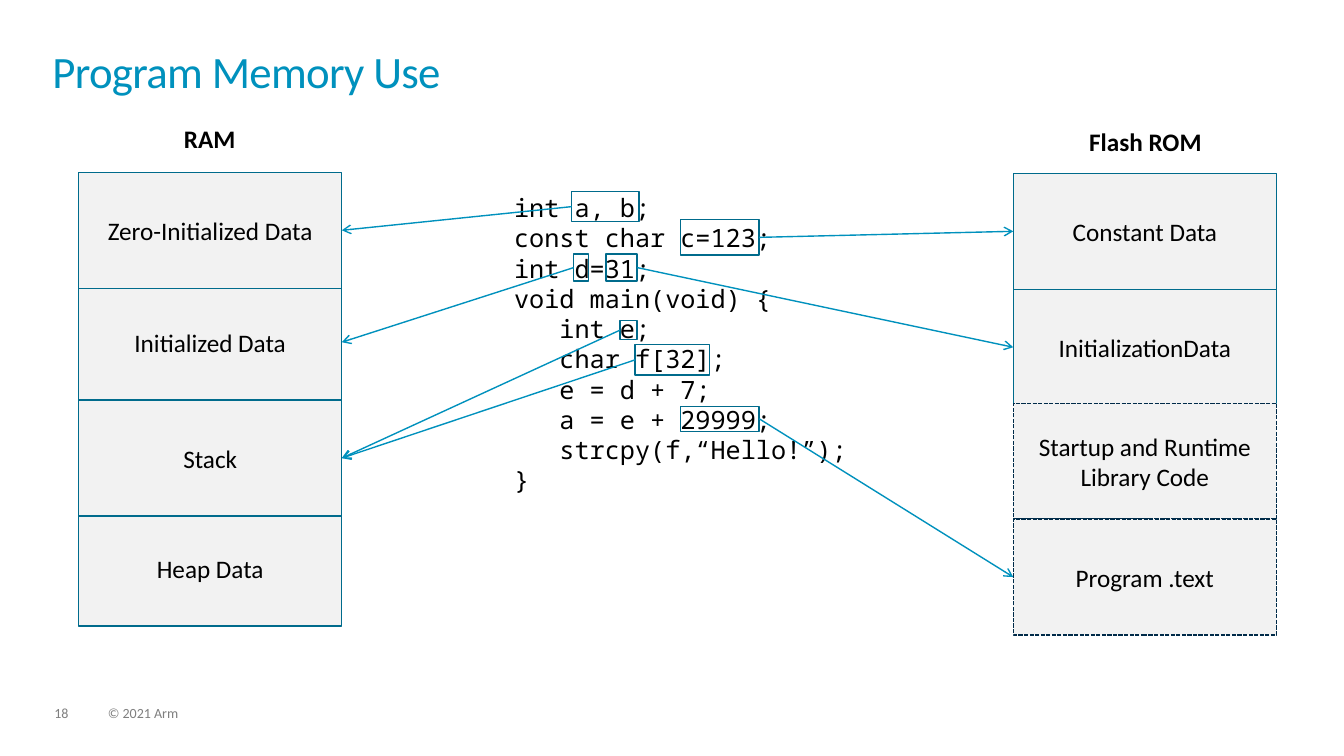
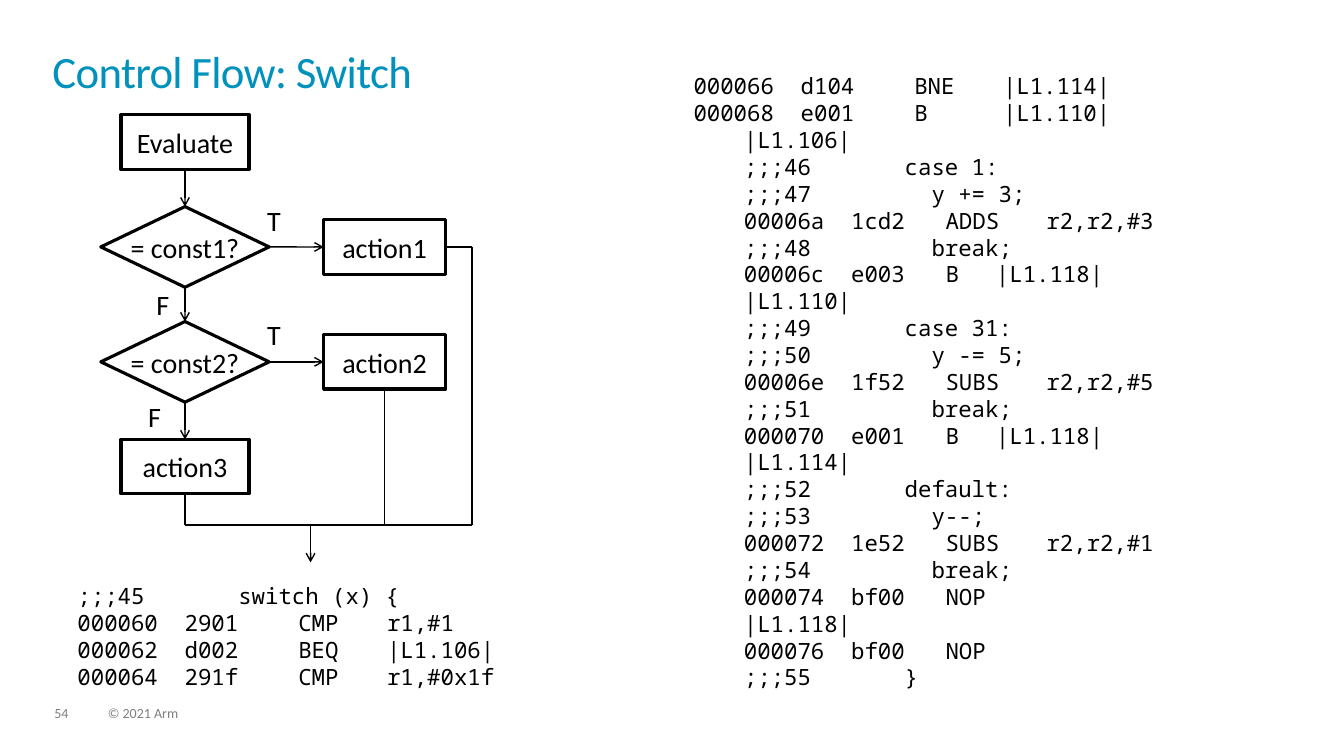
from lxml.etree import SubElement
from pptx import Presentation
from pptx.dml.color import RGBColor
from pptx.enum.dml import MSO_LINE
from pptx.enum.shapes import MSO_CONNECTOR, MSO_SHAPE
from pptx.enum.text import MSO_ANCHOR, MSO_AUTO_SIZE, PP_ALIGN
from pptx.oxml.ns import qn
from pptx.util import Inches, Pt

SANS, MONO = "Calibri", "Noto Sans Mono"
BLACK, GREY, PALE = "000000", "7F7F7F", "F2F2F2"
BLUE, TEAL, NAVY = "0091BD", "006B8C", "002B49"
TOP, LEFT, BOTTOM, RIGHT = range(4)
COPYRIGHT = "© 2021 Arm"

MEMORY_CODE = [
    "int a, b;",
    "const char c=123;",
    "int d=31;",
    "void main(void) {",
    "   int e;",
    "   char f[32];",
    "   e = d + 7;",
    "   a = e + 29999;",
    "   strcpy(f,“Hello!”);",
    "}",
]
HEADINGS = [("RAM", 0.97, 1.17, 2.22), ("Flash ROM", 10.05, 1.2, 2.62)]
SEGMENT_WIDTH, SEGMENT_HEIGHT = 2.61, 1.15
RAM_LEFT, FLASH_LEFT = 0.78, 10.05
SEGMENTS = [
    ("Heap Data", RAM_LEFT, 5.06, False),
    ("Stack", RAM_LEFT, 3.97, False),
    ("Initialized Data", RAM_LEFT, 2.82, False),
    ("Zero-Initialized Data", RAM_LEFT, 1.71, False),
    ("Constant Data", FLASH_LEFT, 1.72, False),
    ("InitializationData", FLASH_LEFT, 2.87, False),
    ("Startup and Runtime Library Code", FLASH_LEFT, 4, True),
    ("Program .text", FLASH_LEFT, 5.15, True),
]
HIGHLIGHTS = [
    ((5.67, 1.9, 0.67, 0.3), "Zero-Initialized Data"),
    ((6.75, 2.18, 0.78, 0.35), "Constant Data"),
    ((5.69, 2.52, 0.15, 0.27), "Initialized Data"),
    ((6.01, 2.52, 0.31, 0.27), "InitializationData"),
    ((6.15, 3.18, 0.17, 0.19), "Stack"),
    ((6.3, 3.42, 0.74, 0.3), "Stack"),
    ((6.75, 4.03, 0.78, 0.25), "Program .text"),
]

SWITCH_START = [
    ";;;45       switch (x) {",
    "000060  2901\tCMP\tr1,#1",
    "000062  d002\tBEQ\t|L1.106|",
    "000064  291f\tCMP\tr1,#0x1f",
]
SWITCH_BRANCHES = [
    "000066  d104\tBNE\t|L1.114|",
    "000068  e001\tB\t|L1.110|",
]
SWITCH_CASES = [
    "|L1.106|",
    ";;;46       case 1:",
    ";;;47         y += 3;",
    "00006a  1cd2\tADDS\tr2,r2,#3",
    ";;;48         break;",
    "00006c  e003\tB\t|L1.118|",
    "|L1.110|",
    ";;;49       case 31:",
    ";;;50         y -= 5;",
    "00006e  1f52\tSUBS\tr2,r2,#5",
    ";;;51         break;",
    "000070  e001\tB\t|L1.118|",
    "|L1.114|",
    ";;;52       default:",
    ";;;53         y--;",
    "000072  1e52\tSUBS\tr2,r2,#1",
    ";;;54         break;",
    "000074  bf00\tNOP",
    "|L1.118|",
    "000076  bf00\tNOP",
    ";;;55       }",
]
CODE_TABS = (2.19, 3.07)
FLOW_NODES = [
    ("Evaluate", MSO_SHAPE.RECTANGLE, (1.2, 1.14, 1.27, 0.54)),
    ("= const1?", MSO_SHAPE.DIAMOND, (1, 2.05, 1.67, 0.8)),
    ("= const2?", MSO_SHAPE.DIAMOND, (1, 3.19, 1.67, 0.8)),
    ("action1", MSO_SHAPE.RECTANGLE, (3.21, 2.18, 1.21, 0.54)),
    ("action2", MSO_SHAPE.RECTANGLE, (3.21, 3.32, 1.21, 0.54)),
    ("action3", MSO_SHAPE.RECTANGLE, (1.2, 4.36, 1.27, 0.54)),
]
FLOW_ARROWS = [
    ("Evaluate", BOTTOM, "= const1?", TOP),
    ("= const1?", RIGHT, "action1", LEFT),
    ("= const1?", BOTTOM, "= const2?", TOP),
    ("= const2?", RIGHT, "action2", LEFT),
    ("= const2?", BOTTOM, "action3", TOP),
]
FLOW_LABELS = [("T", 2.65, 2.02), ("F", 1.55, 2.85), ("T", 2.65, 3.15), ("F", 1.47, 3.96)]
MERGE_Y, MERGE_RIGHT, EXIT_X, EXIT_Y = 5.21, 4.68, 3.08, 5.58


def rgb(value):
    return RGBColor.from_string(value)


def set_text(shape, lines, size, color=BLACK, font=SANS, bold=None, align=None,
             anchor=MSO_ANCHOR.TOP, inset=True, wrap=True, spacing=None,
             tabs=(), indented_from=None):
    frame = shape.text_frame
    frame.auto_size = MSO_AUTO_SIZE.NONE
    frame.word_wrap = wrap
    frame.vertical_anchor = anchor
    if not inset:
        frame.margin_left = frame.margin_right = frame.margin_top = frame.margin_bottom = 0
    for index, line in enumerate(lines):
        paragraph = frame.add_paragraph() if index else frame.paragraphs[0]
        paragraph.text = line
        paragraph.alignment = align
        paragraph.line_spacing = spacing
        properties = paragraph._p.get_or_add_pPr()
        if indented_from is not None and index >= indented_from:
            paragraph.level = 1
            properties.set("marL", str(Inches(0.5)))
            properties.set("indent", "0")
        if tabs:
            tab_list = SubElement(properties, qn("a:tabLst"))
            for position in tabs:
                SubElement(tab_list, qn("a:tab"), pos=str(Inches(position)), algn="l")
        paragraph.font.name = font
        paragraph.font.size = Pt(size)
        paragraph.font.bold = bold
        paragraph.font.color.rgb = rgb(color)


def add_text(slide, box, lines, size, **style):
    shape = slide.shapes.add_textbox(*map(Inches, box))
    set_text(shape, lines, size, **style)


def add_box(slide, kind, box, line, width, fill=None):
    shape = slide.shapes.add_shape(kind, *map(Inches, box))
    shape.shadow.inherit = False
    if fill:
        shape.fill.solid()
        shape.fill.fore_color.rgb = rgb(fill)
    else:
        shape.fill.background()
    shape.line.color.rgb = rgb(line)
    shape.line.width = Pt(width)
    return shape


def site(shape, side):
    x = {LEFT: 0, RIGHT: shape.width}.get(side, shape.width // 2)
    y = {TOP: 0, BOTTOM: shape.height}.get(side, shape.height // 2)
    return shape.left + x, shape.top + y


def add_line(slide, start, end, color, arrow=True):
    points = [site(*place) if hasattr(place[0], "shape_id") else place for place in (start, end)]
    connector = slide.shapes.add_connector(MSO_CONNECTOR.STRAIGHT, *points[0], *points[1])
    if hasattr(start[0], "shape_id"):
        connector.begin_connect(*start)
    if hasattr(end[0], "shape_id"):
        connector.end_connect(*end)
    connector.line.color.rgb = rgb(color)
    connector.line.width = Pt(1)
    if arrow:
        SubElement(connector.line._get_or_add_ln(), qn("a:tailEnd"), type="arrow")
    SubElement(connector._element.spPr, qn("a:effectLst"))


def new_slide(presentation, title, number):
    slide = presentation.slides.add_slide(presentation.slide_layouts[5])
    shape = slide.shapes.title
    shape.left, shape.top, shape.width, shape.height = map(Inches, (0.52, 0.52, 12.28, 0.72))
    set_text(shape, [title], 32, color=BLUE, align=PP_ALIGN.LEFT, inset=False, spacing=0.85)
    shape.text_frame.paragraphs[0].runs[0]._r.get_or_add_rPr().set("spc", "-50")
    for text, left, width in ((number, 0.54, 0.34), (COPYRIGHT, 1.07, 5.07)):
        add_text(slide, (left, 7.01, width, 0.15), [text], 10, color=GREY, inset=False, spacing=0.9)
    return slide


def build_memory(presentation):
    slide = new_slide(presentation, "Program Memory Use", "18")
    add_text(slide, (5, 1.86, 3.56, 3.13), MEMORY_CODE, 18, font=MONO)
    for heading, left, top, width in HEADINGS:
        add_text(slide, (left, top, width, 0.4), [heading], 18, bold=True, align=PP_ALIGN.CENTER)
    segments = {}
    for name, left, top, dashed in SEGMENTS:
        segment = add_box(slide, MSO_SHAPE.RECTANGLE, (left, top, SEGMENT_WIDTH, SEGMENT_HEIGHT),
                          NAVY if dashed else TEAL, 1, PALE)
        if dashed:
            segment.line.dash_style = MSO_LINE.SQUARE_DOT
        set_text(segment, [name], 18, align=PP_ALIGN.CENTER, anchor=MSO_ANCHOR.MIDDLE)
        segments[name] = segment
    for box, name in HIGHLIGHTS:
        highlight = add_box(slide, MSO_SHAPE.RECTANGLE, box, TEAL, 1)
        segment = segments[name]
        sides = (LEFT, RIGHT) if segment.left < highlight.left else (RIGHT, LEFT)
        add_line(slide, (highlight, sides[0]), (segment, sides[1]), BLUE)


def build_switch(presentation):
    slide = new_slide(presentation, "Control Flow: Switch", "54")
    add_text(slide, (0.67, 5.73, 6.11, 1.2), SWITCH_START, 16, font=MONO, tabs=CODE_TABS)
    add_text(slide, (6.78, 0.67, 6.31, 6.4), SWITCH_BRANCHES + SWITCH_CASES, 16, font=MONO,
             tabs=CODE_TABS, indented_from=len(SWITCH_BRANCHES))
    nodes = {}
    for name, kind, box in FLOW_NODES:
        nodes[name] = add_box(slide, kind, box, BLACK, 2.25)
        set_text(nodes[name], [name], 20, align=PP_ALIGN.CENTER, anchor=MSO_ANCHOR.MIDDLE,
                 inset=False, wrap=kind != MSO_SHAPE.DIAMOND)
    for source, source_side, target, target_side in FLOW_ARROWS:
        add_line(slide, (nodes[source], source_side), (nodes[target], target_side), BLACK)
    for label, left, top in FLOW_LABELS:
        add_text(slide, (left, top, 0.25, 0.33), [label], 20, inset=False, wrap=False)

    merge_y, merge_right, exit_x = Inches(MERGE_Y), Inches(MERGE_RIGHT), Inches(EXIT_X)
    for name in ("action2", "action3"):
        start = (nodes[name], BOTTOM)
        add_line(slide, start, (site(*start)[0], merge_y), BLACK, arrow=False)
    first_exit = (nodes["action1"], RIGHT)
    corner = (merge_right, site(*first_exit)[1])
    merge_left = site(nodes["action3"], BOTTOM)[0]
    add_line(slide, first_exit, corner, BLACK, arrow=False)
    add_line(slide, corner, (merge_right, merge_y), BLACK, arrow=False)
    add_line(slide, (merge_left, merge_y), (merge_right, merge_y), BLACK, arrow=False)
    add_line(slide, (exit_x, merge_y), (exit_x, Inches(EXIT_Y)), BLACK)


def main():
    presentation = Presentation()
    presentation.slide_width = Inches(13.33)
    presentation.slide_height = Inches(7.5)
    build_memory(presentation)
    build_switch(presentation)
    presentation.save("out.pptx")


if __name__ == "__main__":
    main()
